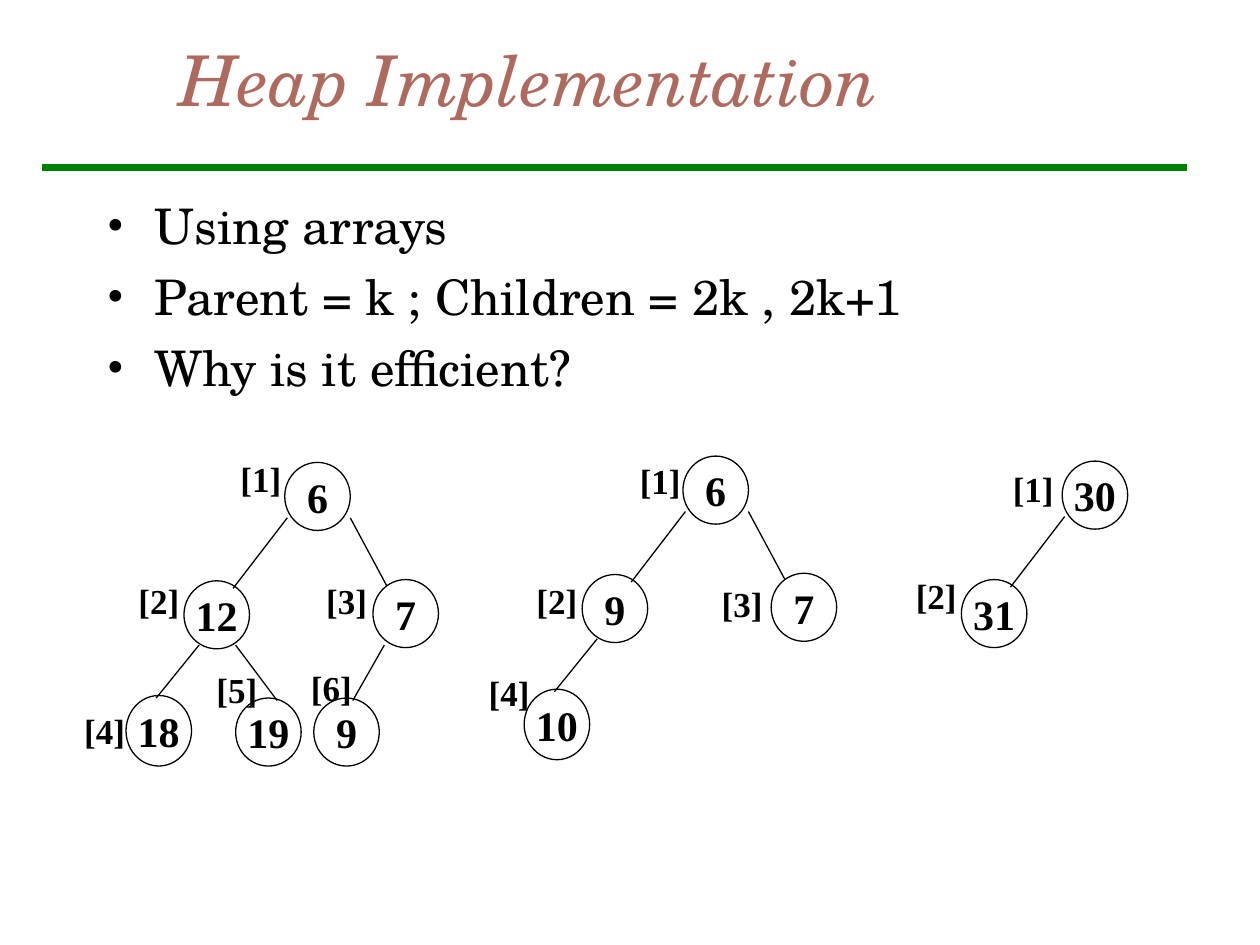
from pptx import Presentation
from pptx.dml.color import RGBColor
from pptx.enum.shapes import MSO_CONNECTOR, MSO_SHAPE
from pptx.enum.text import MSO_ANCHOR, MSO_AUTO_SIZE, PP_ALIGN
from pptx.oxml.ns import qn
from pptx.util import Inches, Pt
from lxml.etree import SubElement

TITLE = "Heap Implementation"
BULLETS = ["Using arrays", "Parent = k ; Children = 2k , 2k+1", "Why is it efficient?"]
HEADING_FONT, NODE_FONT = "TeX Gyre Schola", "Times New Roman"
BLACK, GREEN, BROWN = "000000", "008000", "AF6A5F"

HEAPS = [
    {"root": (2.26, 3.67), "values": {1: 6, 2: 12, 3: 7, 4: 18, 5: 19, 6: 9},
     "labels": {1: (1.81, 3.58), 2: (1, 4.55), 3: (2.49, 4.55),
                4: (0.57, 5.58), 5: (1.62, 5.26), 6: (2.37, 5.24)}},
    {"root": (5.42, 3.62), "values": {1: 6, 2: 9, 3: 7, 4: 10},
     "labels": {1: (4.98, 3.6), 2: (4.16, 4.55), 3: (5.63, 4.57), 4: (3.78, 5.28)}},
    {"root": (8.43, 3.66), "values": {1: 30, 2: 31},
     "labels": {1: (7.94, 3.66), 2: (7.17, 4.51)}},
]
NODE_W, NODE_H, LEFT_LEAF_H = 0.52, 0.54, 0.56
LABEL_W, LABEL_H = 0.53, 0.44
NODE_OFFSET = {1: (0, 0), 2: (-0.8, 0.94), 3: (0.7, 0.93),
               4: (-1.26, 1.85), 5: (-0.39, 1.87), 6: (0.23, 1.87)}
EDGE_OFFSET = {2: ((0.02, 0.44), (0.39, 0.06)), 3: ((0.52, 0.44), (0.11, 0.05)),
               4: ((0.12, 0.51), (0.24, 0.02)), 5: ((0.41, 0.51), (0.33, 0.02)),
               6: ((0.09, 0.52), (0.31, 0.02))}


def color(value):
    return RGBColor.from_string(value)


def shift(point, offset):
    return point[0] + offset[0], point[1] + offset[1]


def style(p, name, size, value, bold=False, italic=False):
    for r in p.runs:
        r.font.name, r.font.size = name, Pt(size)
        r.font.bold, r.font.italic = bold, italic
        r.font.color.rgb = color(value)


def add_text(s, x, y, w, h, lines):
    sp = s.shapes.add_textbox(Inches(x), Inches(y), Inches(w), Inches(h))
    tf = sp.text_frame
    tf.text = "\n".join(lines)
    tf.word_wrap = True
    return tf


def add_line(s, start, end, value=BLACK, width=0.75):
    sp = s.shapes.add_connector(MSO_CONNECTOR.STRAIGHT, *map(Inches, start + end))
    sp.line.color.rgb = color(value)
    sp.line.width = Pt(width)
    SubElement(sp._element.spPr, qn("a:effectLst"))


def add_node(s, point, height, value):
    sp = s.shapes.add_shape(MSO_SHAPE.OVAL, *map(Inches, point + (NODE_W, height)))
    sp.shadow.inherit = False
    sp.fill.background()
    sp.line.color.rgb = color(BLACK)
    sp.line.width = Pt(0.75)
    tf = sp.text_frame
    tf.text = str(value)
    tf.word_wrap = False
    tf.vertical_anchor = MSO_ANCHOR.MIDDLE
    p = tf.paragraphs[0]
    p.alignment = PP_ALIGN.CENTER
    style(p, NODE_FONT, 24, BLACK, bold=True)


def add_label(s, point, k):
    tf = add_text(s, *point, LABEL_W, LABEL_H, [f"[{k}]"])
    tf.word_wrap = False
    tf.auto_size = MSO_AUTO_SIZE.SHAPE_TO_FIT_TEXT
    style(tf.paragraphs[0], NODE_FONT, 20, BLACK, bold=True)


def add_bullets(s):
    tf = add_text(s, 0.75, 1.5, 8.5, 5.35, BULLETS)
    for i, p in enumerate(tf.paragraphs):
        pPr = p._p.get_or_add_pPr()
        pPr.set("marL", str(Inches(0.38)))
        pPr.set("indent", str(-Inches(0.38)))
        SubElement(pPr, qn("a:buFont")).set("typeface", NODE_FONT)
        SubElement(pPr, qn("a:buChar")).set("char", "•")
        if i:
            p.space_before = Pt(7)
        style(p, HEADING_FONT, 28, BLACK)


def add_heap(s, heap):
    spots = {k: shift(heap["root"], NODE_OFFSET[k]) for k in heap["values"]}
    for k, value in heap["values"].items():
        add_node(s, spots[k], LEFT_LEAF_H if k == 4 else NODE_H, value)
    for k in spots:
        if k > 1:
            leave, arrive = EDGE_OFFSET[k]
            add_line(s, shift(spots[k // 2], leave), shift(spots[k], arrive))
    for k, point in heap["labels"].items():
        add_label(s, point, k)


def main():
    prs = Presentation()
    prs.slide_width, prs.slide_height = Inches(10), Inches(7.5)
    s = prs.slides.add_slide(prs.slide_layouts[6])
    add_line(s, (0.33, 1.33), (9.42, 1.33), GREEN, 4)
    tf = add_text(s, 1.33, 0, 8.5, 1.25, [TITLE])
    tf.vertical_anchor = MSO_ANCHOR.MIDDLE
    style(tf.paragraphs[0], HEADING_FONT, 40, BROWN, italic=True)
    add_bullets(s)
    for heap in HEAPS:
        add_heap(s, heap)
    prs.save("out.pptx")


if __name__ == "__main__":
    main()
